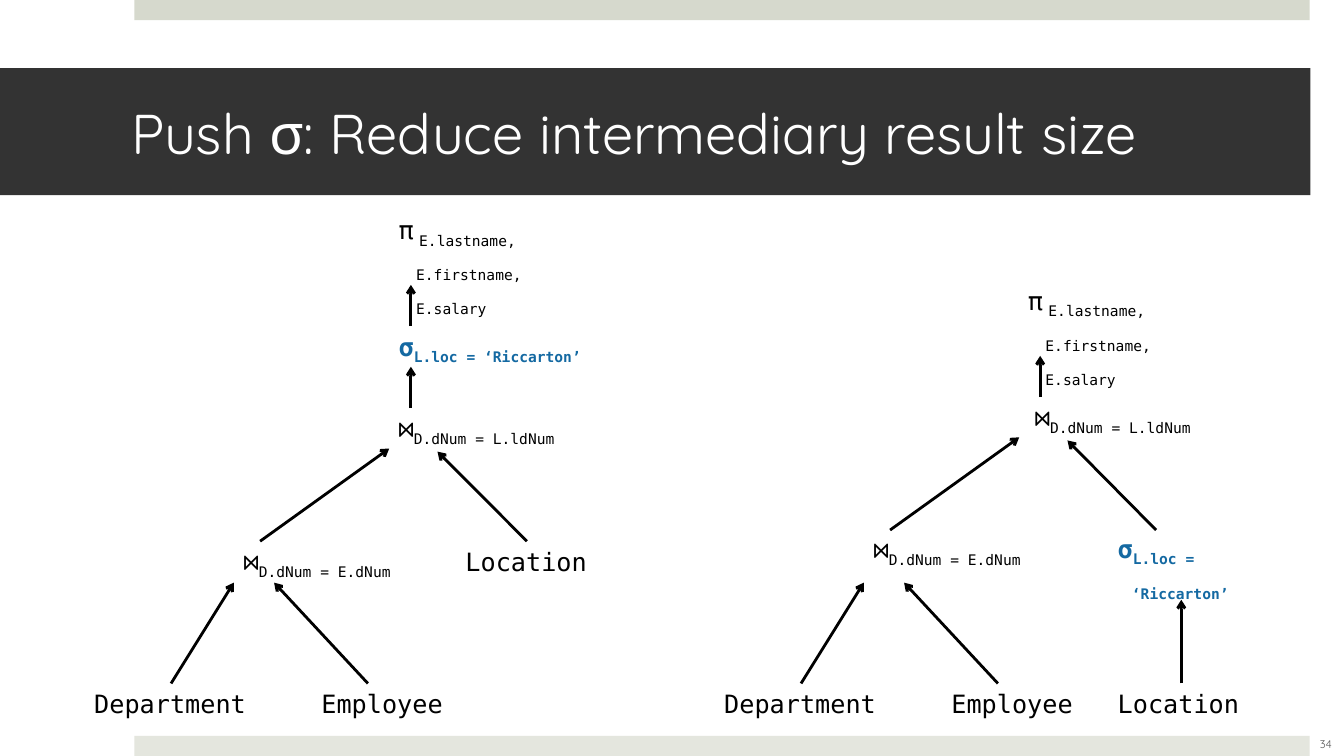
"""Build a slide comparing two query trees, before and after pushing the selection down."""
from lxml import etree
from pptx import Presentation
from pptx.dml.color import RGBColor
from pptx.enum.shapes import MSO_CONNECTOR, MSO_SHAPE
from pptx.enum.text import MSO_ANCHOR, MSO_AUTO_SIZE, PP_ALIGN
from pptx.oxml.ns import qn
from pptx.util import Pt

STRAIGHT = MSO_CONNECTOR.STRAIGHT
RECTANGLE = MSO_SHAPE.RECTANGLE
MIDDLE = MSO_ANCHOR.MIDDLE
LEFT, CENTER = PP_ALIGN.LEFT, PP_ALIGN.CENTER
FIT_SHAPE, NO_FIT = MSO_AUTO_SIZE.SHAPE_TO_FIT_TEXT, MSO_AUTO_SIZE.NONE
TOP_SIDE, BOTTOM_SIDE = 0, 2

MONO, SANS = "DejaVu Sans Mono", "Quicksand"
BLACK, WHITE, BLUE, DARK, GREY = "000000", "FFFFFF", "1469A2", "333333", "595959"

TITLE = "Push σ: Reduce intermediary result size"
PAGE_NUMBER = "34"
BANDS = [(0, "D6D9CD"), (525.6, "E4E6DE")]

# name: symbol, subscript lines, colour, width, height, hanging indent
OPERATORS = {
    "project": ("π", ["E.lastname,", "E.firstname,", "E.salary"], BLACK, 124.6, 58.3, 12.5),
    "join location": ("⋈", ["D.dNum = L.ldNum"], BLACK, 147, 29, 0),
    "join employee": ("⋈", ["D.dNum = E.dNum"], BLACK, 139.7, 29, 0),
    "select": ("σ", ["L.loc = ‘Riccarton’"], BLUE, 170.6, 29, 0),
    "select early": ("σ", ["L.loc =", "‘Riccarton’"], BLUE, 105, 51.1, 10.2),
    "department": ("Department", [], BLACK, 124, 29, 0),
    "employee": ("Employee", [], BLACK, 103, 29, 0),
    "location": ("Location", [], BLACK, 102, 29, 0),
}
SHARED_NODES = {"department": (60.2, 488.2), "employee": (222.5, 488.2)}
SHARED_ARROWS = [
    ((121.7, 488.2), (167, 416.2), "department", None),
    ((262.8, 488.2), (195.8, 416.2), None, None),
]
JOIN_ARROWS = [((185.8, 386.6), (278, 320.4)), ((375.8, 386.6), (312.5, 322.6))]
TREES = [
    {
        "left": 0, "lift": 0,
        "nodes": {"project": (277.7, 149.8), "select": (277.7, 233),
                  "join location": (277.7, 291.6), "join employee": (167, 386.6),
                  "location": (325.4, 386.6)},
        "arrows": [((293.5, 291.6), (293.5, 262), None, None),
                   ((293.5, 233), (293.5, 203.5), None, None)],
    },
    {
        "left": 450, "lift": 8,
        "nodes": {"project": (277.2, 200.2), "join location": (282.2, 283.7),
                  "join employee": (167, 378), "select early": (341.3, 377.3),
                  "location": (341.3, 488.2)},
        "arrows": [((393.8, 488.2), (393.8, 428.4), None, "select early"),
                   ((293, 283.7), (293, 254.2), None, None)],
    },
]


def color(value):
    return RGBColor.from_string(value)


def style(span, size, font, value, bold=False):
    span.font.size = Pt(size)
    span.font.name = font
    span.font.color.rgb = color(value)
    span.font.bold = bold


def add_subscript(para, text, size, value, bold):
    span = para.add_run()
    span.text = text
    style(span, size, MONO, value, bold)
    span.font._element.set("baseline", "-25000")


def add_node(page, name, left, top):
    symbol, lines, value, width, height, indent = OPERATORS[name]
    bold = value == BLUE
    box = page.shapes.add_textbox(Pt(left), Pt(top), Pt(width), Pt(height))
    frame = box.text_frame
    frame.word_wrap = False
    frame.auto_size = FIT_SHAPE
    para = frame.paragraphs[0]
    para.text = symbol
    style(para.runs[0], 18, MONO, value, bold)
    if indent:
        properties = para._p.get_or_add_pPr()
        properties.set("marL", str(Pt(indent)))
        properties.set("indent", str(-Pt(indent)))
    if name == "project":
        add_subscript(para, " ", 11, value, bold)
    for index, line in enumerate(lines):
        if index:
            para.add_line_break()
        add_subscript(para, line, 18, value, bold)
    return box


def add_arrow(page, start, end, source=None, target=None):
    arrow = page.shapes.add_connector(STRAIGHT, *map(Pt, start + end))
    if source:
        arrow.begin_connect(source, TOP_SIDE)
    if target:
        arrow.end_connect(target, BOTTOM_SIDE)
    arrow.line.color.rgb = color(BLACK)
    arrow.line.width = Pt(2)
    etree.SubElement(arrow.line._get_or_add_ln(), qn("a:tailEnd"), type="arrow")
    etree.SubElement(arrow._element.spPr, qn("a:effectLst"))


def add_tree(page, tree):
    left, lift = tree["left"], tree["lift"]
    boxes = {name: add_node(page, name, left + x, y)
             for name, (x, y) in (tree["nodes"] | SHARED_NODES).items()}
    arrows = SHARED_ARROWS + tree["arrows"]
    for index, (start, end) in enumerate(JOIN_ARROWS):
        source = "location" if index and not lift else None
        arrows = arrows + [((start[0], start[1] - lift), (end[0], end[1] - lift), source, None)]
    for (x1, y1), (x2, y2), source, target in arrows:
        add_arrow(page, (left + x1, y1), (left + x2, y2), boxes.get(source), boxes.get(target))


def add_frame(page):
    for top, value in BANDS:
        band = page.shapes.add_shape(RECTANGLE, Pt(96), Pt(top), Pt(839.5), Pt(14.4))
        band.shadow.inherit = False
        band.fill.solid()
        band.fill.fore_color.rgb = color(value)
        band.line.fill.background()

    title = page.shapes.title
    title.left, title.top, title.width, title.height = Pt(0), Pt(48.7), Pt(936), Pt(90.7)
    title.fill.solid()
    title.fill.fore_color.rgb = color(DARK)
    frame = title.text_frame
    frame.text = TITLE
    frame.auto_size = NO_FIT
    frame.vertical_anchor = MIDDLE
    frame.margin_left, frame.margin_right = Pt(93.6), Pt(21.6)
    frame.margin_top = frame.margin_bottom = Pt(3.6)
    frame.paragraphs[0].alignment = LEFT
    style(frame.paragraphs[0].runs[0], 40, SANS, WHITE)

    number = page.shapes.add_textbox(Pt(923), Pt(517), Pt(48.2), Pt(28.8)).text_frame
    number.text = PAGE_NUMBER
    number.word_wrap = True
    number.vertical_anchor = MIDDLE
    number.paragraphs[0].alignment = CENTER
    style(number.paragraphs[0].runs[0], 8, SANS, GREY)


def main():
    deck = Presentation()
    deck.slide_width, deck.slide_height = Pt(960), Pt(540)
    page = deck.slides.add_slide(deck.slide_layouts[5])
    add_frame(page)
    for tree in TREES:
        add_tree(page, tree)
    deck.save("out.pptx")


if __name__ == "__main__":
    main()
